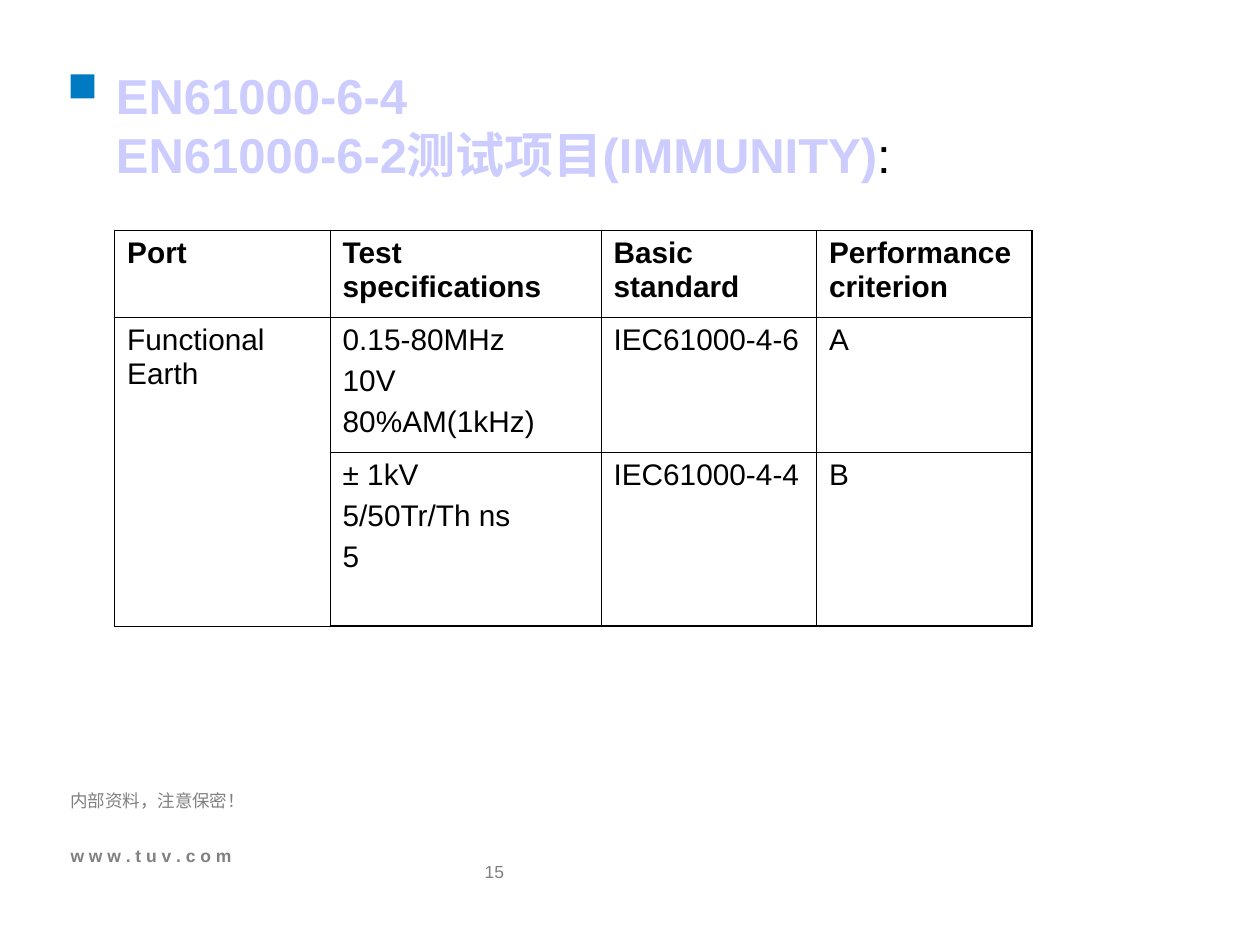
from dataclasses import dataclass
from itertools import product

from lxml.etree import SubElement
from pptx import Presentation
from pptx.dml.color import RGBColor as RGB
from pptx.enum.shapes import MSO_SHAPE as Shape
from pptx.enum.text import MSO_ANCHOR as Anchor, PP_ALIGN as Align
from pptx.oxml.ns import qn
from pptx.util import Inches, Pt


@dataclass(frozen=True)
class Theme:
    face: str = "Arial"
    blue: str = "007AC2"
    pale: str = "CCCCFF"
    ink: str = "000000"
    gray: str = "808080"
    head: float = 28
    body: float = 17
    note: float = 10
    gap: float = 4.2
    thin: float = 0.45
    thick: float = 1.08


THEME = Theme()
WIDE, HIGH = 10, 7.5
LEFT = 0.56
COLS = (1.71, 2.15, 1.71, 1.71)
ROWS = (0.69, 1.07, 1.38)
CELLS = (
    ("Port", "Test specifications", "Basic standard", "Performance criterion"),
    ("Functional Earth", "0.15-80MHz\n10V\n80%AM(1kHz)", "IEC61000-4-6", "A"),
    ("", "± 1kV\n5/50Tr/Th ns\n5", "IEC61000-4-4", "B"),
)


def set_all(item, **vals):
    for name, val in vals.items():
        setattr(item, name, val)


def style(font, size, color, bold=False):
    set_all(font, name=THEME.face, size=Pt(size), bold=bold)
    font.color.rgb = RGB.from_string(color)


def place(item, box):
    names = ("left", "top", "width", "height")
    set_all(item, **dict(zip(names, map(Inches, box))))


def set_frame(frame, anchor=Anchor.TOP, foot=0):
    set_all(frame, word_wrap=True, vertical_anchor=anchor, margin_left=0,
            margin_right=0, margin_top=0, margin_bottom=Inches(foot))


def add_title(slide):
    title = slide.shapes.title
    place(title, (0.92, 0.52, 6.83, 0.57))
    frame = title.text_frame
    set_frame(frame)
    para = frame.paragraphs[0]
    para.alignment = Align.LEFT
    parts = (("EN61000-6-4", THEME.pale, True),
             ("EN61000-6-2测试项目(IMMUNITY)", THEME.pale, True),
             (":", THEME.ink, False))
    for num, (text, color, bold) in enumerate(parts):
        if num == 1:
            para.add_line_break()
        run = para.add_run()
        run.text = text
        style(run.font, THEME.head, color, bold)


def add_mark(slide):
    mark = slide.shapes.add_shape(
        Shape.RECTANGLE, *map(Inches, (LEFT, 0.59, 0.19, 0.19)))
    mark.shadow.inherit = False
    mark.fill.solid()
    mark.fill.fore_color.rgb = RGB.from_string(THEME.blue)
    mark.line.fill.background()


def add_note(slide, text, box, bold=False, align=Align.LEFT, **inset):
    frame = slide.shapes.add_textbox(*map(Inches, box)).text_frame
    set_frame(frame, **inset)
    para = frame.paragraphs[0]
    para.alignment = align
    run = para.add_run()
    run.text = text
    style(run.font, THEME.note, THEME.gray, bold)


def set_edges(cell, row, col):
    """Rule the cell: thick on the outside of the table, thin within."""
    outer = {"L": col == 0, "R": col == len(COLS) - 1,
             "T": row == 0, "B": row == len(ROWS) - 1}
    props = cell._tc.get_or_add_tcPr()
    for num, (side, edge) in enumerate(outer.items()):
        width = Pt(THEME.thick if edge else THEME.thin)
        line = props.makeelement(qn(f"a:ln{side}"), {"w": str(width)})
        fill = SubElement(line, qn("a:solidFill"))
        SubElement(fill, qn("a:srgbClr"), val=THEME.ink)
        props.insert(num, line)


def fill_cell(cell, text, bold):
    cell.fill.background()
    cell.text = text
    for num, para in enumerate(cell.text_frame.paragraphs):
        if num:
            para.space_before = Pt(THEME.gap)
        style(para.font, THEME.body, THEME.ink, bold)


def add_grid(slide):
    box = (0.91, 1.83, sum(COLS), sum(ROWS))
    table = slide.shapes.add_table(
        len(ROWS), len(COLS), *map(Inches, box)).table
    set_all(table, first_row=False, horz_banding=False)
    for col, width in zip(table.columns, COLS):
        col.width = Inches(width)
    for row, height in zip(table.rows, ROWS):
        row.height = Inches(height)
    for row, col in product(range(len(ROWS)), range(len(COLS))):
        cell = table.cell(row, col)
        fill_cell(cell, CELLS[row][col], bold=row == 0)
        set_edges(cell, row, col)
    table.cell(1, 0).merge(table.cell(2, 0))


def main():
    deck = Presentation()
    set_all(deck, slide_width=Inches(WIDE), slide_height=Inches(HIGH))
    slide = deck.slides.add_slide(deck.slide_layouts[5])
    add_note(slide, "w w w . t u v . c o m", (LEFT, 6.34, 1.69, 0.65),
             bold=True, anchor=Anchor.BOTTOM, foot=0.12)
    add_mark(slide)
    add_title(slide)
    add_grid(slide)
    add_note(slide, "内部资料，注意保密！", (LEFT, 6.27, 3.17, 0.5))
    add_note(slide, "15", (3.19, 6.83, 0.81, 0.5), align=Align.RIGHT)
    deck.save("out.pptx")


if __name__ == "__main__":
    main()
